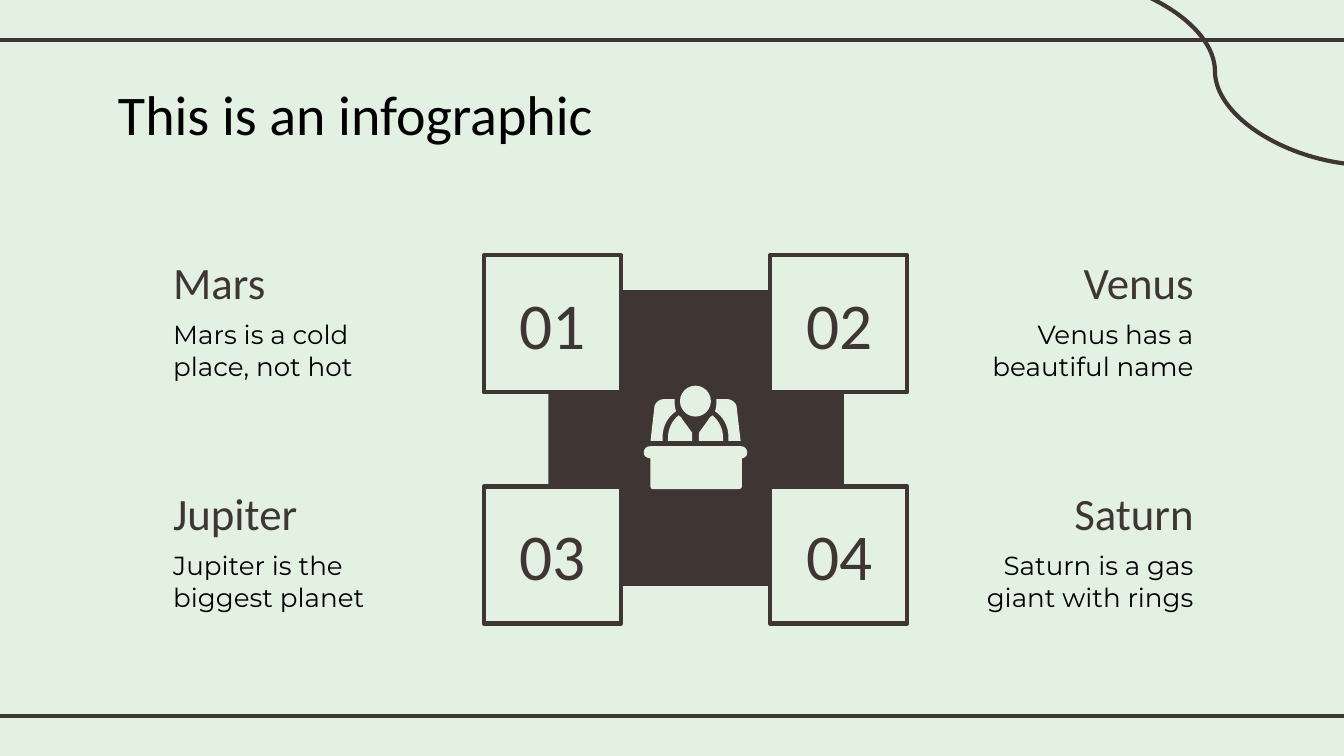
from pptx import Presentation
from pptx.dml.color import RGBColor as RGB
from pptx.enum.shapes import MSO_CONNECTOR as CXN, MSO_SHAPE as SHAPE
from pptx.enum.text import MSO_ANCHOR as ANCHOR, PP_ALIGN as ALIGN
from pptx.oxml.xmlchemy import OxmlElement
from pptx.util import Inches, Pt

# Content
TITLE = "This is an infographic"
PLANETS = [  # number, name, description; two per row
    ("01", "Mars", "Mars is a cold place, not hot"),
    ("02", "Venus", "Venus has a beautiful name"),
    ("03", "Jupiter", "Jupiter is the biggest planet"),
    ("04", "Saturn", "Saturn is a gas giant with rings"),
]

# Theme
DARK, PALE, BLACK = (RGB.from_string(c) for c in ("3F3533", "E3F1E2", "000000"))
LINE_WIDTH = Pt(2.25)
STYLES = {
    "title": dict(name="Calibri", size=Pt(30), color=BLACK),
    "name": dict(name="Calibri", size=Pt(24), color=DARK),
    "body": dict(name="Montserrat", size=Pt(14), color=BLACK),
    "number": dict(name="Calibri", size=Pt(35), color=DARK),
}

# Layout
SLIDE_W = Inches(10)
SLIDE_H = SLIDE_W * 9 // 16
ROWS = (1.9, 3.62)
BOX_X = (3.6, 5.73)
BOX = 1.02
TEXT_LEFT, TEXT_RIGHT = 1.19, 8.98
NAME_W, BODY_W = 2, 1.82

# Icon outlines: two numbers are a point, six are a Bezier curve
ICON_AXIS = 5.175
DESK = [(4.84, 3.32), (4.81, 3.32, 4.79, 3.34, 4.79, 3.37),
        (4.79, 3.39, 4.81, 3.41, 4.84, 3.41), (4.84, 3.62),
        (4.84, 3.63, 4.85, 3.64, 4.86, 3.64), (5.49, 3.64),
        (5.51, 3.64, 5.52, 3.63, 5.52, 3.62), (5.52, 3.41),
        (5.54, 3.41, 5.56, 3.39, 5.56, 3.37),
        (5.56, 3.34, 5.54, 3.32, 5.51, 3.32)]
CHAIR = [(4.94, 2.97), (4.91, 2.97, 4.88, 2.99, 4.87, 3.02), (4.84, 3.28),
         (4.93, 3.28), (4.93, 3.25), (4.93, 3.17, 4.97, 3.1, 5.03, 3.06),
         (5.02, 3.03, 5.02, 3.01, 5.02, 2.99),
         (5.02, 2.98, 5.02, 2.97, 5.02, 2.97)]
ARM = [(5.05, 3.09), (5, 3.13, 4.97, 3.19, 4.97, 3.26), (4.97, 3.28),
       (5.15, 3.28), (5.15, 3.22), (5.07, 3.11),
       (5.07, 3.11, 5.07, 3.1, 5.06, 3.1), (5.06, 3.1, 5.06, 3.1, 5.05, 3.09)]


def paint(sp, fill, line=None):
    sp.shadow.inherit = False
    sp.fill.solid()
    sp.fill.fore_color.rgb = fill
    if line is None:
        sp.line.fill.background()
    else:
        sp.line.color.rgb = line
        sp.line.width = LINE_WIDTH


def add_shape(s, kind, box, fill, line=None):
    paint(s.shapes.add_shape(kind, *map(Inches, box)), fill, line)


def add_line(s, kind, *ends):
    cx = s.shapes.add_connector(kind, *map(Inches, ends))
    cx.line.color.rgb = DARK
    cx.line.width = LINE_WIDTH
    cx._element.spPr.append(OxmlElement("a:effectLst"))


def add_text(s, text, box, style, align=ALIGN.LEFT, anchor=ANCHOR.TOP):
    tf = s.shapes.add_textbox(*map(Inches, box)).text_frame
    frame = dict(word_wrap=True, vertical_anchor=anchor)
    for side in ("left", "top", "right", "bottom"):
        frame[f"margin_{side}"] = Inches(0.1)
    for key, value in frame.items():
        setattr(tf, key, value)
    p = tf.paragraphs[0]
    p.alignment = align
    r = p.add_run()
    r.text = text
    for key, value in STYLES[style].items():
        if key == "color":
            r.font.color.rgb = value
        else:
            setattr(r.font, key, value)


def flatten(outline, steps=8):
    """Turn points and cubic curves into a list of points."""
    points = [outline[0]]
    for seg in outline[1:]:
        if len(seg) == 2:
            points.append(seg)
            continue
        ctrl = [points[-1], seg[:2], seg[2:4], seg[4:]]
        for i in range(1, steps + 1):
            t = i / steps
            weights = ((1 - t) ** 3, 3 * t * (1 - t) ** 2, 3 * t * t * (1 - t), t ** 3)
            points.append(tuple(sum(w * c[k] for w, c in zip(weights, ctrl))
                                for k in (0, 1)))
    return points


def add_outline(s, points):
    start, *rest = [(Inches(x), Inches(y)) for x, y in points]
    builder = s.shapes.build_freeform(*start)
    builder.add_line_segments(rest, close=True)
    paint(builder.convert_to_shape(), PALE)


def main():
    prs = Presentation()
    prs.slide_width, prs.slide_height = SLIDE_W, SLIDE_H
    s = prs.slides.add_slide(prs.slide_layouts[6])
    s.background.fill.solid()
    s.background.fill.fore_color.rgb = PALE

    # Frame lines and title
    for y in (0.3, 5.33):
        add_line(s, CXN.STRAIGHT, -0.08, y, 10.08, y)
    add_line(s, CXN.CURVE, 7.88, -0.17, 10.2, 1.23)
    add_text(s, TITLE, (0.78, 0.49, 8.44, 0.63), "title")

    # Central square with the person at a desk
    add_shape(s, SHAPE.RECTANGLE, (4.08, 2.16, 2.2, 2.2), DARK)
    add_shape(s, SHAPE.OVAL, (5.06, 2.87, 0.23, 0.23), PALE)
    add_outline(s, flatten(DESK))
    for half in (CHAIR, ARM):
        points = flatten(half)
        add_outline(s, points)
        add_outline(s, [(2 * ICON_AXIS - x, y) for x, y in points])

    # Numbered boxes with their planet texts
    for i, (number, name, body) in enumerate(PLANETS):
        row, col = divmod(i, 2)
        x, y = BOX_X[col], ROWS[row]
        add_shape(s, SHAPE.RECTANGLE, (x, y, BOX, BOX), PALE, DARK)
        add_text(s, number, (x - 0.04, y + 0.14, 1.11, 0.73), "number",
                 ALIGN.CENTER, ANCHOR.MIDDLE)
        align = ALIGN.RIGHT if col else ALIGN.LEFT
        name_x, body_x = (TEXT_RIGHT - w if col else TEXT_LEFT
                          for w in (NAME_W, BODY_W))
        add_text(s, name, (name_x, y, NAME_W, 0.39), "name", align, ANCHOR.MIDDLE)
        add_text(s, body, (body_x, y + 0.37, BODY_W, 0.78), "body", align)

    prs.save("out.pptx")


if __name__ == "__main__":
    main()
